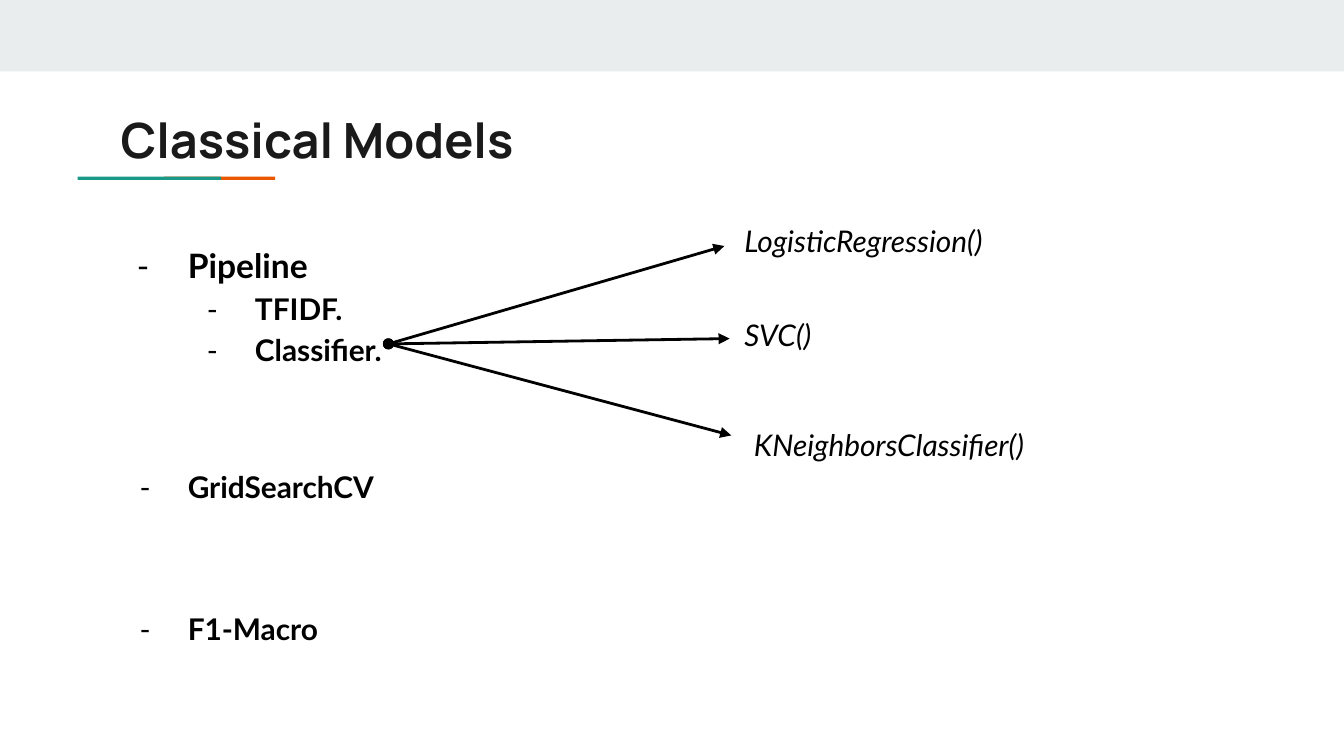
from lxml import etree
from pptx import Presentation
from pptx import util as u
from pptx.dml.color import RGBColor
from pptx.enum import shapes, text
from pptx.oxml import ns

BLACK = RGBColor(0x00, 0x00, 0x00)
INK = RGBColor(0x1A, 0x1A, 0x1A)
BAND = RGBColor(0xE9, 0xED, 0xEE)
TEAL = RGBColor(0x1A, 0x99, 0x88)
ORANGE = RGBColor(0xEB, 0x56, 0x00)

TITLE = {"name": "Manrope", "size": u.Pt(26), "bold": True}
STEP = {"name": "Lato", "size": u.Pt(16), "bold": True}
MODEL = {"name": "Lato", "size": u.Pt(16), "italic": True}


def add_xml(parent, tag, **attributes):
    return etree.SubElement(parent, ns.qn(tag), attributes)


class SlideBuilder:
    margin = u.Cm(0.25)
    line_width = u.Pt(1.5)
    line_spacing = 1.15

    def __init__(self, slide):
        self.items = slide.shapes

    def bar(self, left, top, width, height, color):
        bar = self.items.add_shape(shapes.MSO_SHAPE.RECTANGLE,
                                   *map(u.Cm, (left, top, width, height)))
        bar.shadow.inherit = False
        bar.fill.solid()
        bar.fill.fore_color.rgb = color
        bar.line.fill.background()

    def frame(self, left, top, width, height):
        box = self.items.add_textbox(*map(u.Cm, (left, top, width, height)))
        layout = {"word_wrap": True, "auto_size": text.MSO_AUTO_SIZE.NONE,
                  "vertical_anchor": text.MSO_ANCHOR.TOP}
        layout.update({f"margin_{side}": self.margin
                       for side in ("left", "top", "right", "bottom")})
        for key, value in layout.items():
            setattr(box.text_frame, key, value)
        return box.text_frame

    def styled_run(self, paragraph, words, style, color=BLACK):
        run = paragraph.add_run()
        run.text = words
        for key, value in style.items():
            setattr(run.font, key, value)
        run.font.color.rgb = color

    def label(self, place, words, style, color=BLACK):
        self.styled_run(self.frame(*place).paragraphs[0], words, style, color)

    def dash_list(self, place, entries):
        frame = self.frame(*place)
        for number, (words, level, size, gap) in enumerate(entries):
            paragraph = frame.add_paragraph() if number else frame.paragraphs[0]
            paragraph.level = level
            paragraph.line_spacing = self.line_spacing
            paragraph.space_before = u.Pt(gap)
            self.styled_run(paragraph, words, {**STEP, "size": u.Pt(size)})
            # Hanging dash
            hang = 0.96 if size == 18 else 0.91
            props = paragraph._p.get_or_add_pPr()
            props.set("marL", str(u.Cm(1.27 * (level + 1))))
            props.set("indent", str(-u.Cm(hang)))
            add_xml(add_xml(props, "a:buClr"), "a:srgbClr", val=str(BLACK))
            add_xml(props, "a:buFont", typeface="Lato")
            add_xml(props, "a:buChar", char="-")

    def arrow(self, start, end):
        arrow = self.items.add_connector(shapes.MSO_CONNECTOR.STRAIGHT,
                                         *map(u.Cm, start + end))
        arrow.line.width = self.line_width
        arrow.line.color.rgb = BLACK
        line = arrow.line._get_or_add_ln()
        add_xml(line, "a:headEnd", type="oval")
        add_xml(line, "a:tailEnd", type="triangle")
        add_xml(arrow._element.spPr, "a:effectLst")


def main():
    deck = Presentation()
    deck.slide_width, deck.slide_height = u.Cm(25.4), u.Cm(14.29)
    builder = SlideBuilder(deck.slides.add_slide(deck.slide_layouts[6]))

    # Top band and two-colour accent
    builder.bar(0, 0, 25.4, 1.35, BAND)
    builder.bar(3.1, 3.34, 2.1, 0.06, ORANGE)
    builder.bar(1.47, 3.34, 2.71, 0.06, TEAL)

    # Title
    builder.label((2.03, 1.83, 21.36, 1.5), "Classical Models", TITLE, INK)

    # Steps: words, level, size, space before
    builder.dash_list((2.03, 4.27, 6.05, 7.8), [
        ("Pipeline", 0, 18, 0),
        ("TFIDF.", 1, 16, 0),
        ("Classifier.", 1, 16, 0),
        ("GridSearchCV", 0, 16, 51.3),
        ("F1-Macro", 0, 16, 54),
    ])

    # Classifier options: words, label corner, arrow tip
    classifier = (7.34, 6.5)
    options = [
        ("LogisticRegression()", (13.82, 3.96), (13.69, 4.65)),
        ("SVC()", (13.82, 5.74), (13.79, 6.4)),
        ("KNeighborsClassifier()", (14, 7.82), (13.82, 8.23)),
    ]
    for words, corner, tip in options:
        builder.arrow(classifier, tip)
        builder.label(corner + (5.79, 1.14), words, MODEL)

    deck.save("out.pptx")


if __name__ == "__main__":
    main()
